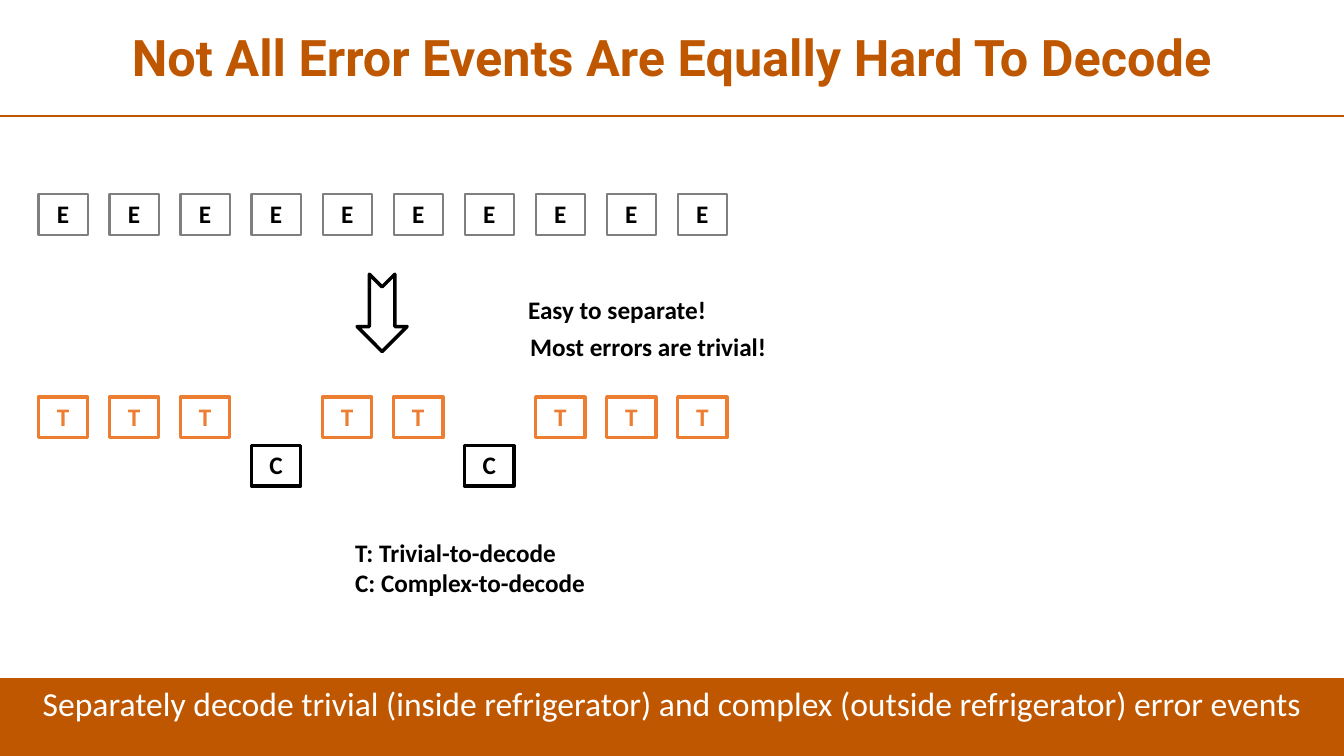
from lxml.etree import SubElement
from pptx import Presentation
from pptx.dml.color import RGBColor
from pptx.enum.shapes import MSO_CONNECTOR, MSO_SHAPE
from pptx.enum.text import MSO_ANCHOR, PP_ALIGN
from pptx.oxml.ns import qn
from pptx.util import Cm, Pt

TITLE = "Not All Error Events Are Equally Hard To Decode"
BANNER = "Separately decode trivial (inside refrigerator) and complex (outside refrigerator) error events"
NOTES = ["Easy to separate!", "Most errors are trivial!"]
LEGEND = ["T: Trivial-to-decode", "C: Complex-to-decode"]
EVENTS = "EEEEEEEEEE"
DECODED = "TTTCTTCTTT"

TITLE_COLOUR, ORANGE, BLACK, WHITE = "BE5700", "BF5700", "000000", "FFFFFF"
BOX_STYLES = {
    "E": {"top": 4.9, "line": "7F7F7F", "line_width": 1.5, "colour": BLACK},
    "T": {"top": 10.01, "line": "ED7D31", "line_width": 2.5, "colour": "ED7D31"},
    "C": {"top": 11.23, "line": BLACK, "line_width": 2.5, "colour": BLACK},
}
SLIDE_WIDTH, SLIDE_HEIGHT = 33.87, 19.05
BOX_LEFT, BOX_PITCH, BOX_WIDTH, BOX_HEIGHT = 0.97, 1.79, 1.24, 1.02
RULE_TOP, BANNER_TOP = 2.92, 17.09
ARROW_CENTRE, ARROW_TOP, ARROW_BOTTOM = 9.63, 6.91, 8.86
ARROW_HALF, SHAFT_HALF = 0.63, 0.32


def rgb(colour):
    return RGBColor.from_string(colour)


def write_text(shape, lines, size=18, font="Calibri", colour=BLACK, bold=True,
               align=PP_ALIGN.LEFT, anchor=MSO_ANCHOR.TOP, insets=(0, 0, 0, 0),
               before=0, spacing=None, indents=(0, 0)):
    frame = shape.text_frame
    frame.word_wrap = True
    frame.vertical_anchor = anchor
    frame.margin_left, frame.margin_top, frame.margin_right, frame.margin_bottom = map(Cm, insets)
    for index, line in enumerate(lines):
        paragraph = frame.add_paragraph() if index else frame.paragraphs[0]
        paragraph.alignment = align
        paragraph.space_before = Pt(before)
        paragraph.line_spacing = spacing
        paragraph._p.get_or_add_pPr().set("marL", str(Cm(indents[index])))
        run = paragraph.add_run()
        run.text = line
        run.font.size = Pt(size)
        run.font.name = font
        run.font.bold = bold
        run.font.color.rgb = rgb(colour)


def paint(shape, fill=None, line=None, line_width=1.5):
    shape.shadow.inherit = False
    if fill:
        shape.fill.solid()
        shape.fill.fore_color.rgb = rgb(fill)
    else:
        shape.fill.background()
    if line:
        shape.line.color.rgb = rgb(line)
        shape.line.width = Pt(line_width)
    else:
        shape.line.fill.background()


def add_text(slide, left, top, width, height, lines, **text_format):
    box = slide.shapes.add_textbox(Cm(left), Cm(top), Cm(width), Cm(height))
    write_text(box, lines, **text_format)


def add_rectangle(slide, left, top, width, height, **style):
    shape = slide.shapes.add_shape(MSO_SHAPE.RECTANGLE, Cm(left), Cm(top), Cm(width), Cm(height))
    paint(shape, **style)
    return shape


def add_event_row(slide, letters):
    for column, letter in enumerate(letters):
        style = BOX_STYLES[letter]
        box = add_rectangle(slide, BOX_LEFT + column * BOX_PITCH, style["top"], BOX_WIDTH, BOX_HEIGHT,
                            line=style["line"], line_width=style["line_width"])
        write_text(box, [letter], colour=style["colour"], align=PP_ALIGN.CENTER,
                   insets=(0, 0.1, 0, 0), before=2.5)


def add_arrow(slide):
    shoulder = ARROW_BOTTOM - ARROW_HALF
    right_side = [(SHAFT_HALF, ARROW_TOP), (SHAFT_HALF, shoulder), (ARROW_HALF, shoulder)]
    left_side = [(-x, y) for x, y in reversed(right_side)]
    outline = right_side + [(0, ARROW_BOTTOM)] + left_side + [(0, ARROW_TOP + SHAFT_HALF)]
    points = [(Cm(ARROW_CENTRE + x), Cm(y)) for x, y in outline]
    builder = slide.shapes.build_freeform(*points[0])
    builder.add_line_segments(points[1:], close=True)
    paint(builder.convert_to_shape(), line=BLACK, line_width=2.5)


def add_rule(slide):
    rule = slide.shapes.add_connector(MSO_CONNECTOR.STRAIGHT, 0, Cm(RULE_TOP), Cm(SLIDE_WIDTH), Cm(RULE_TOP))
    rule.line.color.rgb = rgb(ORANGE)
    rule.line.width = Pt(1.5)
    SubElement(rule._element.spPr, qn("a:effectLst"))


def main():
    presentation = Presentation()
    presentation.slide_width, presentation.slide_height = Cm(SLIDE_WIDTH), Cm(SLIDE_HEIGHT)
    slide = presentation.slides.add_slide(presentation.slide_layouts[6])

    add_text(slide, 0.23, 0.1, 33.4, 2.82, [TITLE], size=36, font="Roboto", colour=TITLE_COLOUR,
             align=PP_ALIGN.CENTER, anchor=MSO_ANCHOR.MIDDLE, spacing=0.9)
    add_rule(slide)
    banner = add_rectangle(slide, 0, BANNER_TOP, SLIDE_WIDTH, SLIDE_HEIGHT - BANNER_TOP, fill=ORANGE)
    write_text(banner, [BANNER], size=24, colour=WHITE, bold=False, align=PP_ALIGN.CENTER,
               insets=(0.25, 0.13, 0.25, 0.13))

    add_event_row(slide, EVENTS)
    add_event_row(slide, DECODED)
    add_arrow(slide)
    add_text(slide, 13.28, 7.21, 6.2, 1.93, NOTES, insets=(0, 0.2, 0, 0), before=5, indents=(0.03, 0.08))
    add_text(slide, 8.92, 13.54, 5.9, 1.6, LEGEND, spacing=Pt(21.4), indents=(0.03, 0.03))

    presentation.save("out.pptx")


if __name__ == "__main__":
    main()
